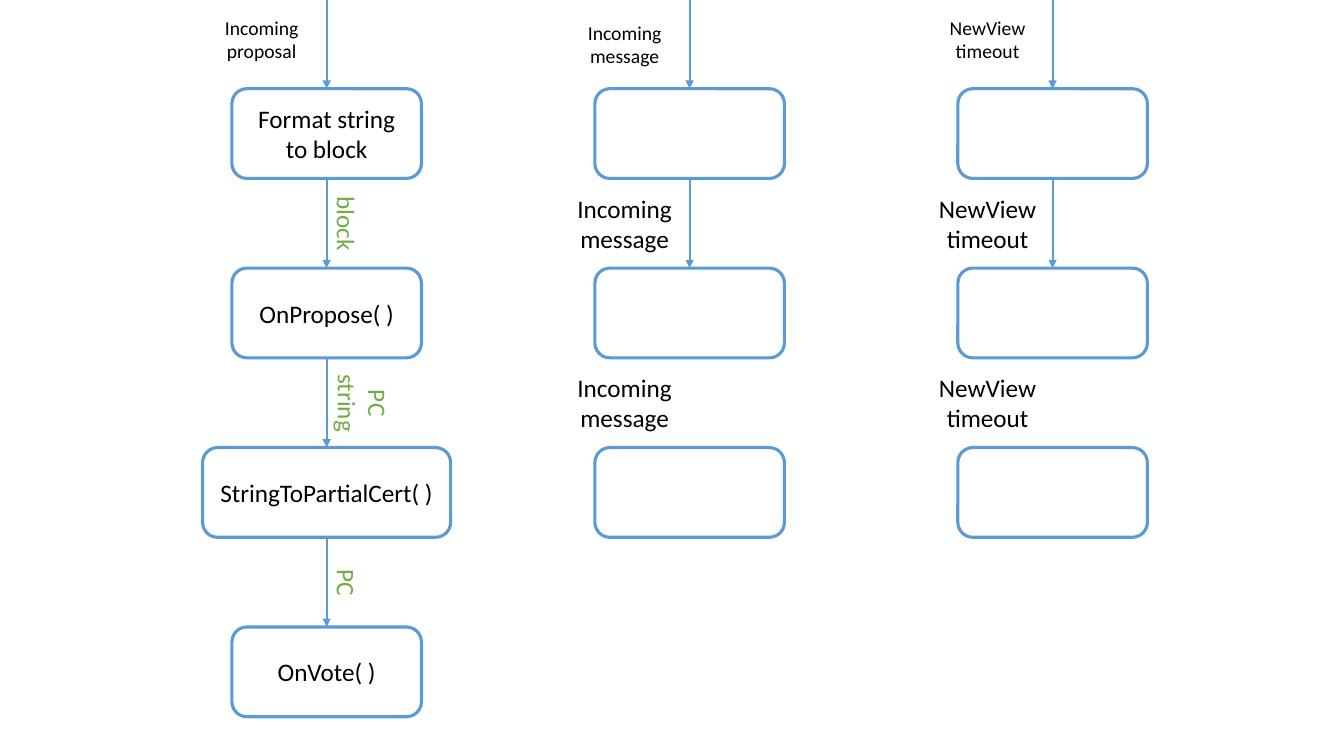
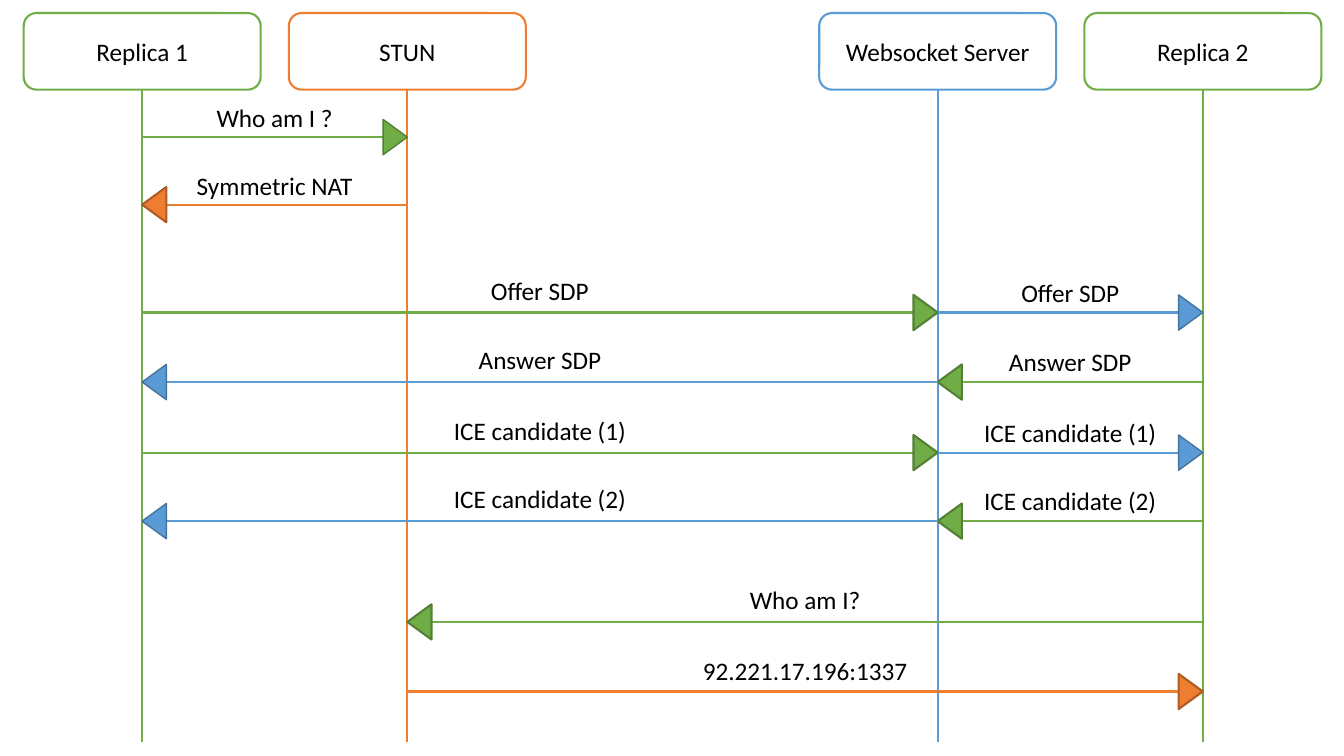
"""Draw the replica event flows and the peer connection message sequence."""
from dataclasses import dataclass

from lxml.etree import SubElement
from pptx import Presentation
from pptx.dml.color import RGBColor
from pptx.enum.shapes import MSO_CONNECTOR, MSO_SHAPE
from pptx.enum.text import MSO_ANCHOR, MSO_AUTO_SIZE, PP_ALIGN
from pptx.oxml.ns import qn
from pptx.shapes.autoshape import Shape
from pptx.slide import Slide
from pptx.util import Inches, Pt

COLORS = {
    "white": "FFFFFF", "black": "000000",
    "blue": "5B9BD5", "green": "70AD47", "orange": "ED7D31",
    "dark blue": "43739E", "dark green": "538035", "dark orange": "AF5C24",
}
FONT = "Calibri"


@dataclass(frozen=True)
class Box:
    left: float
    top: float
    width: float
    height: float

    def lengths(self) -> tuple[int, int, int, int]:
        return (Inches(self.left), Inches(self.top),
                Inches(self.width), Inches(self.height))


@dataclass(frozen=True)
class Step:
    text: str = ""
    width: float = 1.88


@dataclass(frozen=True)
class Flow:
    center: float
    entry: str
    entry_middle: float
    steps: tuple[Step, ...]
    events: tuple[str, ...]
    arrow_count: int
    turned: bool = False


@dataclass(frozen=True)
class Party:
    name: str
    center: float
    color: str


@dataclass(frozen=True)
class Message:
    text: str
    sender: Party
    receiver: Party
    y: float
    label_rise: float
    head_outline: float = 1.5


def rgb(color: str) -> RGBColor:
    return RGBColor.from_string(COLORS[color])


def write(shape: Shape, text: str, size: float = 18, color: str = "black") -> None:
    frame = shape.text_frame
    frame.word_wrap = True
    frame.text = text
    for paragraph in frame.paragraphs:
        paragraph.alignment = PP_ALIGN.CENTER
        for run in paragraph.runs:
            run.font.name = FONT
            run.font.size = Pt(size)
            run.font.color.rgb = rgb(color)


def add_outlined(slide: Slide, preset: MSO_SHAPE, box: Box, fill: str,
                 outline: str, weight: float) -> Shape:
    shape = slide.shapes.add_shape(preset, *box.lengths())
    shape.shadow.inherit = False
    shape.fill.solid()
    shape.fill.fore_color.rgb = rgb(fill)
    shape.line.color.rgb = rgb(outline)
    shape.line.width = Pt(weight)
    return shape


def add_node(slide: Slide, box: Box, text: str, color: str, weight: float) -> None:
    node = add_outlined(slide, MSO_SHAPE.ROUNDED_RECTANGLE, box, "white", color, weight)
    node.text_frame.vertical_anchor = MSO_ANCHOR.MIDDLE
    if text:
        write(node, text)


def add_label(slide: Slide, box: Box, text: str, size: float = 18,
              color: str = "black", rotation: float = 0) -> None:
    label = slide.shapes.add_textbox(*box.lengths())
    label.rotation = rotation
    write(label, text, size, color)
    label.text_frame.auto_size = MSO_AUTO_SIZE.SHAPE_TO_FIT_TEXT


def add_line(slide: Slide, start: tuple[float, float], end: tuple[float, float],
             color: str, arrow: bool = False) -> None:
    line = slide.shapes.add_connector(
        MSO_CONNECTOR.STRAIGHT, *(Inches(value) for value in start + end))
    line.line.color.rgb = rgb(color)
    line.line.width = Pt(1.5)
    if arrow:
        SubElement(line.line._get_or_add_ln(), qn("a:tailEnd"), type="triangle")
    SubElement(line._element.spPr, qn("a:effectLst"))


FIRST_TOP, ROW_STEP, NODE_HEIGHT = 0.88, 1.78, 0.89
EVENT_WIDTH, LINE_HEIGHT, EVENT_HEIGHT, ENTRY_HEIGHT = 1.29, 0.4, 0.71, 0.57


def draw_flow(slide: Slide, flow: Flow) -> None:
    for row, step in enumerate(flow.steps):
        box = Box(flow.center - step.width / 2, FIRST_TOP + row * ROW_STEP,
                  step.width, NODE_HEIGHT)
        add_node(slide, box, step.text, "blue", 2.25)
    for row in range(flow.arrow_count):
        node_top = FIRST_TOP + row * ROW_STEP
        gap_top = max(0, node_top + NODE_HEIGHT - ROW_STEP)
        add_line(slide, (flow.center, gap_top), (flow.center, node_top), "blue", arrow=True)
    left = flow.center - EVENT_WIDTH
    add_label(slide, Box(left, flow.entry_middle - ENTRY_HEIGHT / 2,
                         EVENT_WIDTH, ENTRY_HEIGHT), flow.entry, 14)
    for row, event in enumerate(flow.events, start=1):
        middle = 0.44 + row * ROW_STEP
        if flow.turned:
            height = EVENT_HEIGHT if "\v" in event else LINE_HEIGHT
            box = Box(flow.center + height / 2 - EVENT_WIDTH / 2,
                      middle - height / 2, EVENT_WIDTH, height)
            add_label(slide, box, event, color="green", rotation=90)
        else:
            add_label(slide, Box(left, middle - EVENT_HEIGHT / 2,
                                 EVENT_WIDTH, EVENT_HEIGHT), event)


PARTY_TOP, PARTY_WIDTH, PARTY_HEIGHT, LIFELINE_END = 0.13, 2.35, 0.76, 7.36
HEAD_BASE, HEAD_LENGTH, LABEL_INSET = 0.35, 0.24, 0.25


def draw_party(slide: Slide, party: Party) -> None:
    box = Box(party.center - PARTY_WIDTH / 2, PARTY_TOP, PARTY_WIDTH, PARTY_HEIGHT)
    add_node(slide, box, party.name, party.color, 1.5)
    add_line(slide, (party.center, PARTY_TOP + PARTY_HEIGHT),
             (party.center, LIFELINE_END), party.color)


def draw_message(slide: Slide, message: Message) -> None:
    start, end = message.sender.center, message.receiver.center
    color = message.sender.color
    direction = 1 if end > start else -1
    add_line(slide, (start, message.y), (end, message.y), color, arrow=True)
    head_center = end - direction * HEAD_LENGTH / 2
    head = add_outlined(
        slide, MSO_SHAPE.ISOSCELES_TRIANGLE,
        Box(head_center - HEAD_BASE / 2, message.y - HEAD_LENGTH / 2,
            HEAD_BASE, HEAD_LENGTH),
        color, f"dark {color}", message.head_outline)
    head.rotation = 90 if direction > 0 else 270
    add_label(slide, Box(min(start, end) + LABEL_INSET, message.y - message.label_rise,
                         abs(end - start) - 2 * LABEL_INSET, LINE_HEIGHT), message.text)


FLOWS = (
    Flow(3.24, "Incoming proposal", 0.39,
         (Step("Format string to block"), Step("OnPropose( )"),
          Step("StringToPartialCert( )", 2.46), Step("OnVote( )")),
         ("block", "PC\vstring", "PC"), 4, turned=True),
    Flow(6.84, "Incoming message", 0.44, (Step(),) * 3, ("Incoming message",) * 2, 2),
    Flow(10.44, "NewView timeout", 0.39, (Step(),) * 3, ("NewView timeout",) * 2, 2),
)

REPLICA_1 = Party("Replica 1", 1.41, "green")
STUN = Party("STUN", 4.04, "orange")
WEBSOCKET = Party("Websocket Server", 9.3, "blue")
REPLICA_2 = Party("Replica 2", 11.93, "green")
PARTIES = (REPLICA_1, STUN, WEBSOCKET, REPLICA_2)


def relay(text: str, sender: Party, receiver: Party, y: float) -> tuple[Message, Message]:
    legs = ((sender, WEBSOCKET, 1.5), (WEBSOCKET, receiver, 1))
    return tuple(
        Message(text, source, target, y, 0.42 if REPLICA_1 in (source, target) else 0.4,
                outline)
        for source, target, outline in legs)


MESSAGES = (
    Message("Who am I ?", REPLICA_1, STUN, 1.36, 0.39, 1),
    Message("Symmetric NAT", STUN, REPLICA_1, 2.03, 0.39),
    *relay("Offer SDP", REPLICA_1, REPLICA_2, 3.1),
    *relay("Answer SDP", REPLICA_2, REPLICA_1, 3.79),
    *relay("ICE candidate (1)", REPLICA_1, REPLICA_2, 4.49),
    *relay("ICE candidate (2)", REPLICA_2, REPLICA_1, 5.17),
    Message("Who am I?", REPLICA_2, STUN, 6.17, 0.42),
    Message("92.221.17.196:1337", STUN, REPLICA_2, 6.86, 0.41),
)


def main() -> None:
    deck = Presentation()
    deck.slide_width, deck.slide_height = Inches(13.33), Inches(7.5)
    blank = deck.slide_layouts[6]
    event_flows = deck.slides.add_slide(blank)
    for flow in FLOWS:
        draw_flow(event_flows, flow)
    sequence = deck.slides.add_slide(blank)
    for party in PARTIES:
        draw_party(sequence, party)
    for message in MESSAGES:
        draw_message(sequence, message)
    deck.save("out.pptx")


main()
